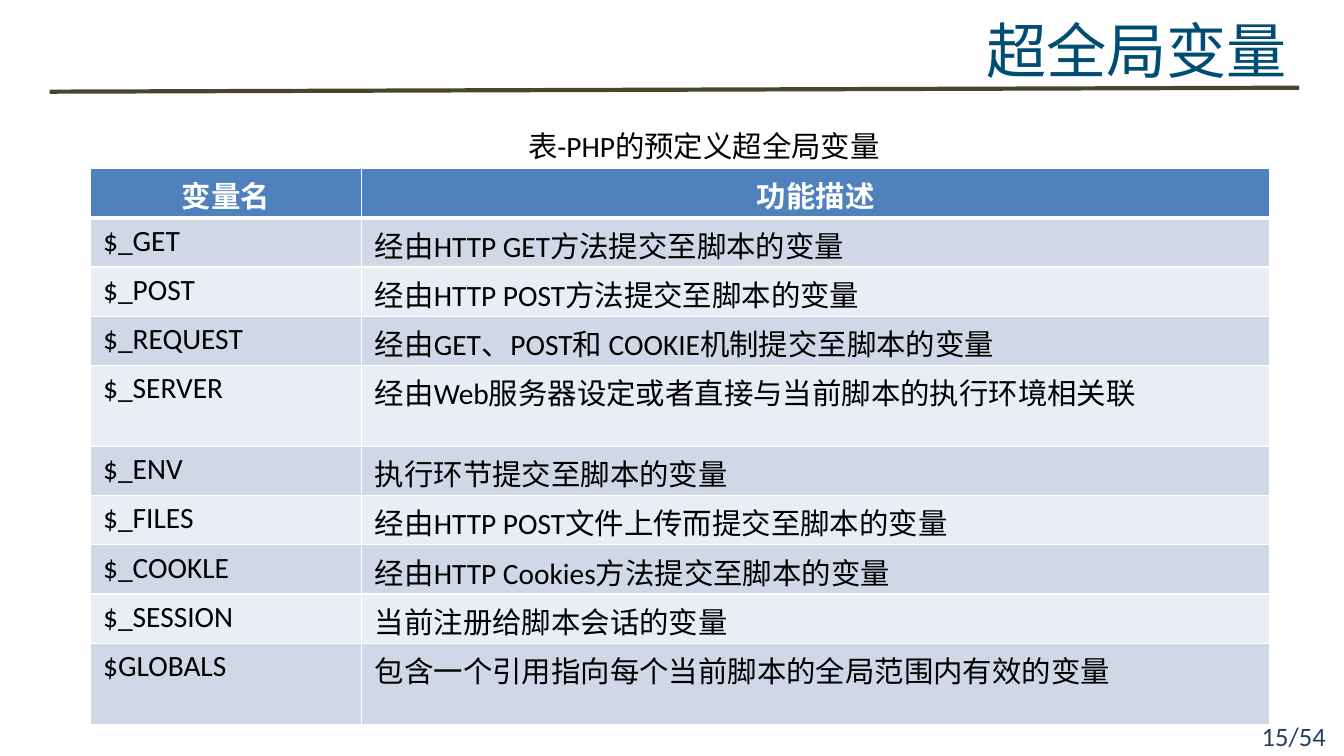
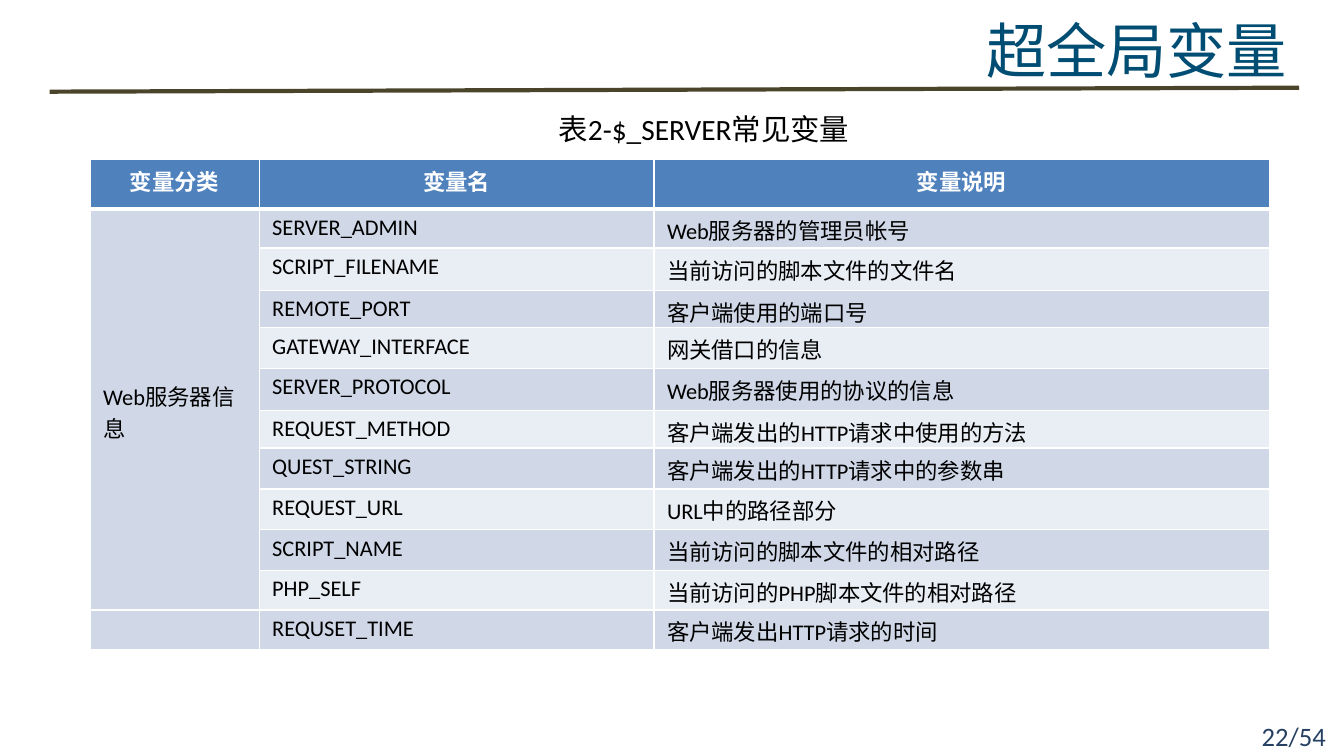
from dataclasses import dataclass

from lxml import etree
from pptx import Presentation, util as u
from pptx.dml.color import RGBColor
from pptx.enum import shapes as sh, text as tx
from pptx.oxml import ns

Cm, Pt = u.Cm, u.Pt
TITLE = "超全局变量"
TOTAL = 54

# Content: one dict for each slide
PAGES = [
    dict(
        page=15,
        label="表-PHP的预定义超全局变量",
        label_top=3.07,
        top=4.25,
        size=21,
        cols=[6.85, 22.87],
        heights=[1.24] * 4 + [2.04] + [1.24] * 4 + [2.04],
        head=("变量名", "功能描述"),
        rows=[
            ("$_GET", "经由HTTP GET方法提交至脚本的变量"),
            ("$_POST", "经由HTTP POST方法提交至脚本的变量"),
            ("$_REQUEST", "经由GET、POST和 COOKIE机制提交至脚本的变量"),
            ("$_SERVER", "经由Web服务器设定或者直接与当前脚本的执行环境相关联"),
            ("$_ENV", "执行环节提交至脚本的变量"),
            ("$_FILES", "经由HTTP POST文件上传而提交至脚本的变量"),
            ("$_COOKLE", "经由HTTP Cookies方法提交至脚本的变量"),
            ("$_SESSION", "当前注册给脚本会话的变量"),
            ("$GLOBALS", "包含一个引用指向每个当前脚本的全局范围内有效的变量"),
        ],
    ),
    dict(
        page=22,
        label="表2-$_SERVER常见变量",
        label_top=2.64,
        top=4.02,
        size=16,
        cols=[4.26, 9.95, 15.51],
        heights=[1.24, 0.99, 1.06, 0.95, 1.02, 1.06, 0.95,
                 1.03, 1.03, 1.02, 1.0, 1.0],
        head=("变量分类", "变量名", "变量说明"),
        span=10,
        rows=[
            ("Web服务器信息", "SERVER_ADMIN", "Web服务器的管理员帐号"),
            ("", "SCRIPT_FILENAME", "当前访问的脚本文件的文件名"),
            ("", "REMOTE_PORT", "客户端使用的端口号"),
            ("", "GATEWAY_INTERFACE", "网关借口的信息"),
            ("", "SERVER_PROTOCOL", "Web服务器使用的协议的信息"),
            ("", "REQUEST_METHOD", "客户端发出的HTTP请求中使用的方法"),
            ("", "QUEST_STRING", "客户端发出的HTTP请求中的参数串"),
            ("", "REQUEST_URL", "URL中的路径部分"),
            ("", "SCRIPT_NAME", "当前访问的脚本文件的相对路径"),
            ("", "PHP_SELF", "当前访问的PHP脚本文件的相对路径"),
            ("", "REQUSET_TIME", "客户端发出HTTP请求的时间"),
        ],
    ),
]


@dataclass(frozen=True)
class Theme:
    title: str = "004D73"
    rule: str = "4A452A"
    page: str = "254061"
    ink: str = "000000"
    white: str = "FFFFFF"
    head: str = "4F81BD"
    bands: tuple = ("E9EDF4", "D0D8E8")
    latin: str = "Calibri"
    asian: str = "Noto Sans CJK SC"
    title_size: int = 43
    label_size: int = 21
    page_size: int = 19


T = Theme()
LEFT, RIGHT, CENTER = tx.PP_ALIGN.LEFT, tx.PP_ALIGN.RIGHT, tx.PP_ALIGN.CENTER
TOP, MIDDLE = tx.MSO_ANCHOR.TOP, tx.MSO_ANCHOR.MIDDLE


def write(frame, text, size, color=T.ink, bold=False, align=LEFT,
          font=T.latin, lead=None):
    """Put one formatted paragraph in a text frame."""
    para = frame.paragraphs[0]
    para.alignment = align
    if lead:
        para.line_spacing = Pt(lead)
    run = para.add_run()
    run.text = text
    run.font.size, run.font.bold, run.font.name = Pt(size), bold, font
    run.font.color.rgb = RGBColor.from_string(color)
    east = etree.SubElement(run.font._element, ns.qn("a:ea"))
    east.set("typeface", T.asian)


def pad(part, left, top, right, bottom):
    part.margin_left, part.margin_top = Cm(left), Cm(top)
    part.margin_right, part.margin_bottom = Cm(right), Cm(bottom)


def box(slide, area, text, anchor=TOP, **style):
    frame = slide.shapes.add_textbox(*map(Cm, area)).text_frame
    frame.word_wrap = True
    frame.vertical_anchor = anchor
    pad(frame, 0.3, 0.15, 0.3, 0.15)
    write(frame, text, **style)


def edge(cell, low):
    """White cell borders; low is the width of the bottom one."""
    props = cell._tc.get_or_add_tcPr()
    for spot, (side, width) in enumerate(
            [("L", 1), ("R", 1), ("T", 1), ("B", low)]):
        line = etree.Element(ns.qn("a:ln" + side), w=str(Pt(width)))
        fill = etree.SubElement(line, ns.qn("a:solidFill"))
        etree.SubElement(fill, ns.qn("a:srgbClr"), val=T.white)
        props.insert(spot, line)


def rule(slide, layout):
    """Draw the title rule and move it to the shared layout."""
    line = slide.shapes.add_connector(
        sh.MSO_CONNECTOR.STRAIGHT, Cm(1.25), Cm(2.31), Cm(32.74), Cm(2.21))
    line.line.color.rgb = RGBColor.from_string(T.rule)
    line.line.width = Pt(3)
    etree.SubElement(line.element.spPr, ns.qn("a:effectLst"))
    layout.shapes.element.append(line.element)


def head(slide):
    title = slide.shapes.title
    title.left, title.top, title.width, title.height = map(
        Cm, (20.47, 0.63, 11.96, 1.68))
    frame = title.text_frame
    frame.vertical_anchor = TOP
    frame.auto_size = tx.MSO_AUTO_SIZE.SHAPE_TO_FIT_TEXT
    pad(frame, 0, 0, 0, 0.15)
    write(frame, TITLE, T.title_size, T.title, align=RIGHT,
          font=T.asian, lead=42.9)


def grid(slide, data):
    rows = [data["head"]] + data["rows"]
    cols, highs = data["cols"], data["heights"]
    table = slide.shapes.add_table(
        len(rows), len(cols), Cm(2.27), Cm(data["top"]),
        Cm(sum(cols)), Cm(sum(highs))).table
    for col, wide in zip(table.columns, cols):
        col.width = Cm(wide)
    for row, high in zip(table.rows, highs):
        row.height = Cm(high)
    for r, words in enumerate(rows):
        first = r == 0
        for c, text in enumerate(words):
            cell = table.cell(r, c)
            cell.fill.solid()
            cell.fill.fore_color.rgb = RGBColor.from_string(
                T.head if first else T.bands[r % 2])
            pad(cell, 0.33, 0.13, 0.33, 0)
            edge(cell, 3 if first else 1)
            if text:
                write(cell.text_frame, text, data["size"],
                      T.white if first else T.ink, bold=first,
                      align=CENTER if first else LEFT)
    # Group cell over the first column
    if "span" in data:
        group = table.cell(1, 0)
        group.merge(table.cell(data["span"], 0))
        group.vertical_anchor = MIDDLE


def main():
    deck = Presentation()
    deck.slide_width, deck.slide_height = Cm(33.87), Cm(19.05)
    layout = deck.slide_layouts[5]
    for n, data in enumerate(PAGES):
        slide = deck.slides.add_slide(layout)
        if n == 0:
            rule(slide, layout)
        head(slide)
        grid(slide, data)
        box(slide, (10.36, data["label_top"], 14.76, 1.19), data["label"],
            size=T.label_size, align=CENTER)
        box(slide, (25.81, 18.03, 7.9, 1.02), f"{data['page']}/{TOTAL}",
            anchor=MIDDLE, size=T.page_size, color=T.page, align=RIGHT)
    deck.save("out.pptx")


if __name__ == "__main__":
    main()
